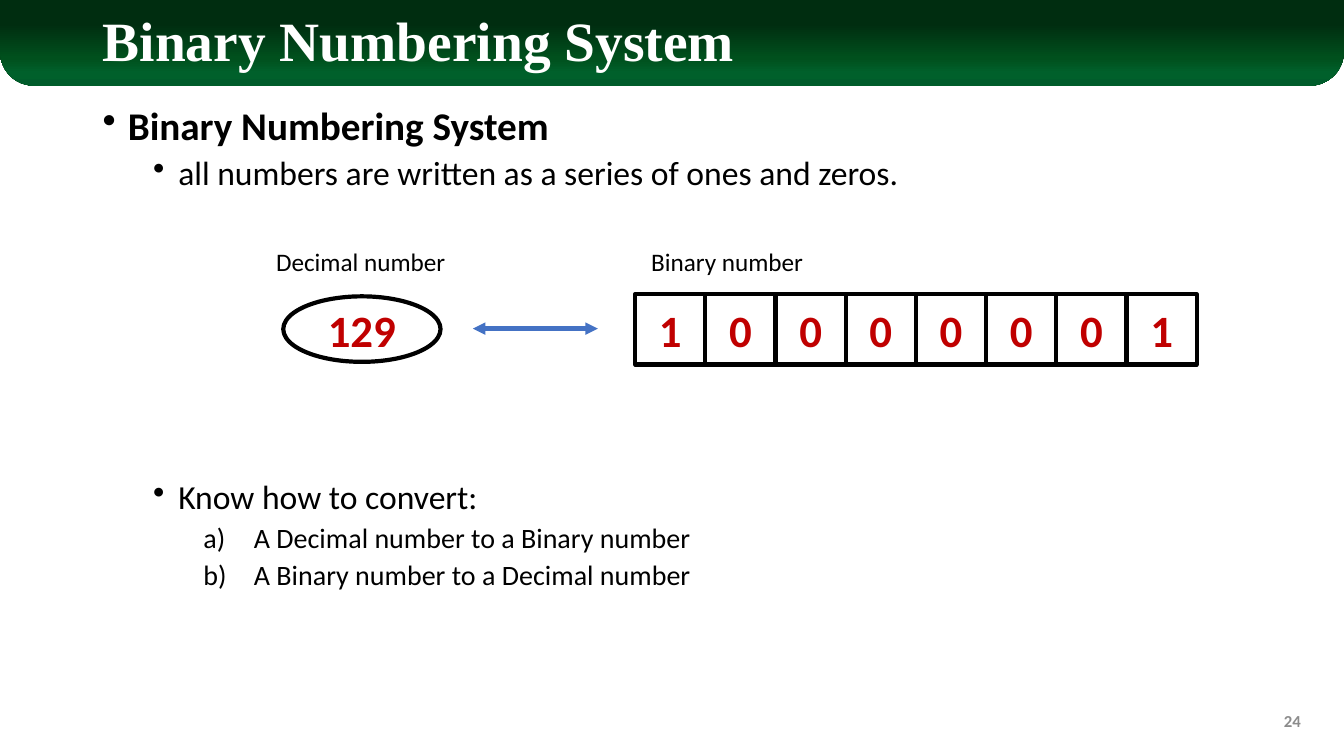
import pptx
import pptx.dml.color
import pptx.enum.shapes
import pptx.enum.text
import pptx.oxml
import pptx.oxml.ns
import pptx.util
from pptx.util import Inches

SHAPE = pptx.enum.shapes.MSO_SHAPE
ALIGN = pptx.enum.text.PP_ALIGN
ANCHOR = pptx.enum.text.MSO_ANCHOR
NAMESPACE = pptx.oxml.ns.nsdecls("a")

BLACK, WHITE, RED, BLUE, GRAY = "000000", "FFFFFF", "C00000", "4472C4", "8C8C8C"
BAND_STOPS = [(0, "002D10"), (28, "002D10"), (68, "00501D"), (85, "00602B"), (100, "005C2B")]

BITS = "10000001"
BITS_LEFT, BITS_TOP, BITS_WIDTH = 6.3, 2.92, 5.57

BULLET = '<a:buChar {} char="•"/>'
LETTER = '<a:buAutoNum {} type="alphaLcParenR"/>'
# text, size, bold, left margin, hanging indent, space before, marker
BODY = [
    ("Binary Numbering System", 28, True, 0.25, 0.25, 10, BULLET),
    ("all numbers are written as a series of ones and zeros.", 24, False, 0.75, 0.25, 5, BULLET),
    ("Know how to convert:", 24, False, 0.75, 0.25, 206, BULLET),
    ("A Decimal number to a Binary number", 20, False, 1.5, 0.5, 5, LETTER),
    ("A Binary number to a Decimal number", 20, False, 1.5, 0.5, 5, LETTER),
]


def rgb(color):
    return pptx.dml.color.RGBColor.from_string(color)


def place(shape, left, top, width, height):
    shape.left, shape.top = Inches(left), Inches(top)
    shape.width, shape.height = Inches(width), Inches(height)


def write(paragraph, text, size=18, font="Calibri", color=BLACK, bold=False,
          align=ALIGN.LEFT, line_spacing=None, space_before=None):
    paragraph.alignment = align
    paragraph.line_spacing = line_spacing
    if space_before is not None:
        paragraph.space_before = pptx.util.Pt(space_before)
    run = paragraph.add_run()
    run.text = text
    run.font.size = pptx.util.Pt(size)
    run.font.name = font
    run.font.bold = bold
    run.font.color.rgb = rgb(color)


def add_text(slide, text, left, top, width, height, anchor=ANCHOR.TOP, **text_format):
    box = slide.shapes.add_textbox(*map(Inches, (left, top, width, height)))
    box.text_frame.word_wrap = True
    box.text_frame.vertical_anchor = anchor
    write(box.text_frame.paragraphs[0], text, **text_format)


def add_number(slide, kind, text, left, top, width, height):
    """Add an outlined shape with a large red number in it."""
    shape = slide.shapes.add_shape(kind, *map(Inches, (left, top, width, height)))
    shape.shadow.inherit = False
    shape.fill.background()
    shape.line.color.rgb = rgb(BLACK)
    shape.line.width = pptx.util.Pt(3)
    frame = shape.text_frame
    frame.margin_left = frame.margin_right = 0
    frame.vertical_anchor = ANCHOR.MIDDLE
    write(frame.paragraphs[0], text, size=32, color=RED, bold=True, align=ALIGN.CENTER)


def add_title_band(slide):
    band = slide.shapes.add_shape(SHAPE.ROUND_2_SAME_RECTANGLE, 0, 0, Inches(13.33), Inches(0.85))
    band.adjustments[0], band.adjustments[1] = 0, 0.4
    band.shadow.inherit = False
    band.line.fill.background()
    stops = "".join(f'<a:gs pos="{position * 1000}"><a:srgbClr val="{color}"/></a:gs>'
                    for position, color in BAND_STOPS)
    gradient = pptx.oxml.parse_xml(
        f'<a:gradFill {NAMESPACE} rotWithShape="1"><a:gsLst>{stops}</a:gsLst>'
        '<a:lin ang="5400000" scaled="0"/></a:gradFill>')
    properties = band._element.spPr
    properties.find(pptx.oxml.ns.qn("a:prstGeom")).addnext(gradient)
    slide.shapes._spTree.insert(2, band._element)  # behind the title


def set_title(slide, text):
    title = slide.shapes.title
    place(title, 0.92, 0.13, 11.5, 0.61)
    title.text_frame.auto_size = pptx.enum.text.MSO_AUTO_SIZE.NONE
    title.text_frame.vertical_anchor = ANCHOR.MIDDLE
    write(title.text_frame.paragraphs[0], text, size=39.6, font="Times New Roman",
          color=WHITE, bold=True, line_spacing=0.9)


def add_body(slide):
    box = slide.shapes.add_textbox(*map(Inches, (0.92, 1.01, 11.5, 5.67)))
    frame = box.text_frame
    frame.word_wrap = True
    for index, (text, size, bold, margin, hanging, before, marker) in enumerate(BODY):
        paragraph = frame.add_paragraph() if index else frame.paragraphs[0]
        write(paragraph, text, size=size, bold=bold, line_spacing=0.9, space_before=before)
        properties = paragraph._p.get_or_add_pPr()
        properties.set("marL", str(Inches(margin)))
        properties.set("indent", str(-Inches(hanging)))
        properties.append(pptx.oxml.parse_xml(marker.format(NAMESPACE)))


def add_double_arrow(slide, left, right, y):
    arrow = slide.shapes.add_connector(pptx.enum.shapes.MSO_CONNECTOR.STRAIGHT,
                                       Inches(left), Inches(y), Inches(right), Inches(y))
    arrow.line.color.rgb = rgb(BLUE)
    arrow.line.width = pptx.util.Pt(3)
    line = arrow.line._get_or_add_ln()
    for end in ("headEnd", "tailEnd"):
        line.append(pptx.oxml.parse_xml(f'<a:{end} {NAMESPACE} type="triangle"/>'))
    arrow._element.spPr.append(pptx.oxml.parse_xml(f"<a:effectLst {NAMESPACE}/>"))


def main():
    presentation = pptx.Presentation()
    presentation.slide_width, presentation.slide_height = Inches(13.33), Inches(7.5)
    slide = presentation.slides.add_slide(presentation.slide_layouts[5])

    add_title_band(slide)
    set_title(slide, "Binary Numbering System")
    add_body(slide)
    add_text(slide, "24", 10, 6.95, 3, 0.4, anchor=ANCHOR.MIDDLE,
             size=12, color=GRAY, bold=True, align=ALIGN.RIGHT)

    add_text(slide, "Decimal number", 2.64, 2.39, 2.14, 0.4)
    add_number(slide, SHAPE.OVAL, "129", 2.81, 2.94, 1.56, 0.65)
    add_double_arrow(slide, 4.69, 5.93, 3.26)
    add_text(slide, "Binary number", 6.36, 2.39, 2.14, 0.4)
    cell = BITS_WIDTH / len(BITS)
    for index, bit in enumerate(BITS):
        add_number(slide, SHAPE.RECTANGLE, bit, BITS_LEFT + index * cell, BITS_TOP, cell, cell)

    presentation.save("out.pptx")


if __name__ == "__main__":
    main()
